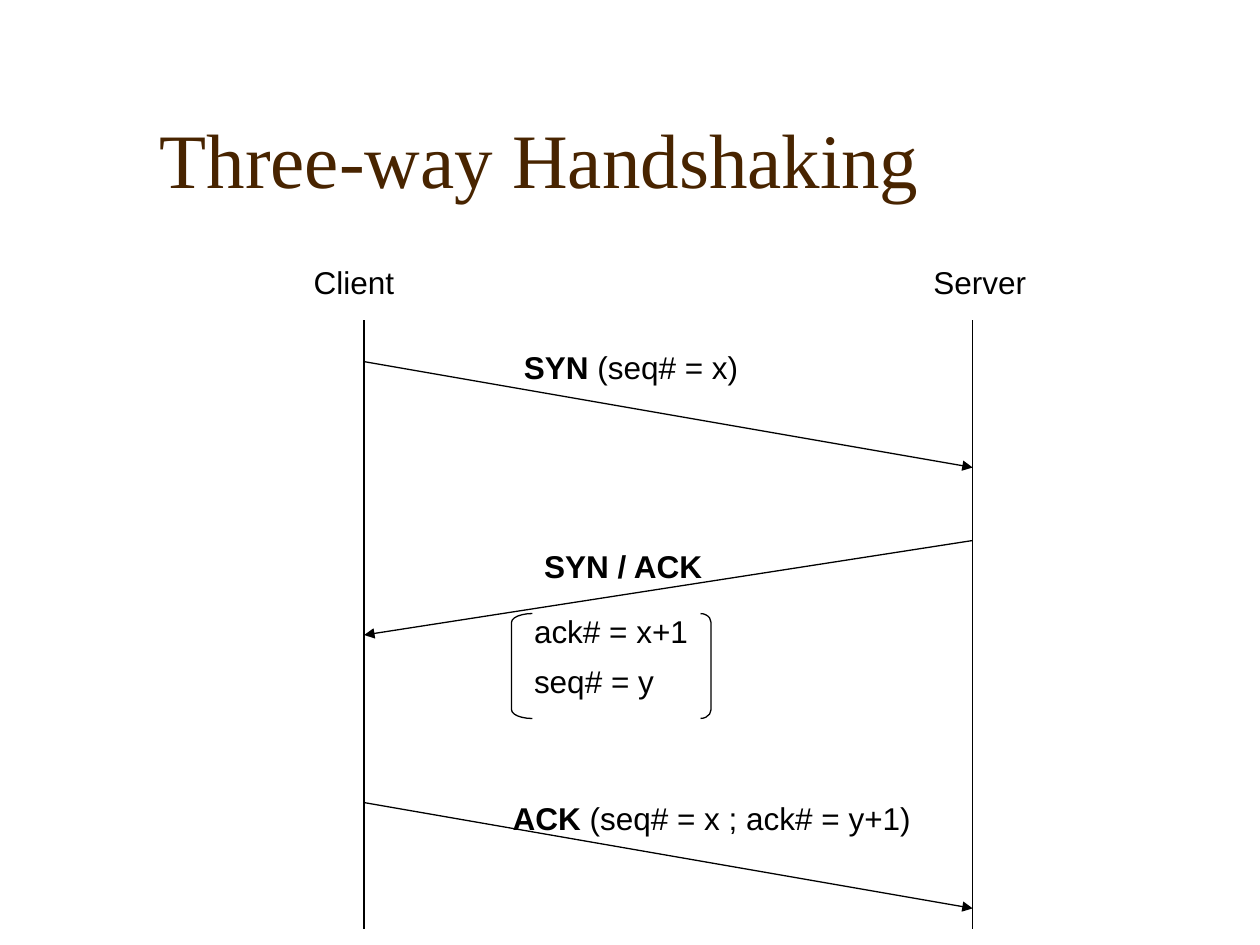
from lxml import etree
from pptx import Presentation
from pptx import util as u
from pptx.dml.color import RGBColor
from pptx.enum import shapes, text
from pptx.oxml.ns import qn

COLORS = {"title": "482400", "ink": "000000"}

presentation = Presentation()
presentation.slide_width = u.Inches(10)
presentation.slide_height = u.Inches(7.5)
slide = presentation.slides.add_slide(presentation.slide_layouts[6])

# All positions are percentages of the slide's width and height.
COLUMN = presentation.slide_width / 100
ROW = presentation.slide_height / 100
CLIENT, SERVER = 28.9, 77.2
LABEL_HEIGHT = 5.33


def add_text(left, top, width, height, lines, size=18, font="Arial", color="ink"):
    """Add a text box; each line is a list of (wording, bold) pairs."""
    box = slide.shapes.add_textbox(
        int(left * COLUMN), int(top * ROW), int(width * COLUMN), int(height * ROW))
    frame = box.text_frame
    frame.word_wrap = True
    for index, line in enumerate(lines):
        paragraph = frame.paragraphs[0] if index == 0 else frame.add_paragraph()
        for wording, bold in line:
            run = paragraph.add_run()
            run.text = wording
            run.font.size = u.Pt(size)
            run.font.name = font
            run.font.bold = bold
            run.font.color.rgb = RGBColor.from_string(COLORS[color])
    return frame


def add_line(x1, y1, x2, y2, arrow=False):
    connector = slide.shapes.add_connector(
        shapes.MSO_CONNECTOR.STRAIGHT,
        int(x1 * COLUMN), int(y1 * ROW), int(x2 * COLUMN), int(y2 * ROW))
    connector.line.color.rgb = RGBColor.from_string(COLORS["ink"])
    connector.line.width = u.Pt(0.75)
    properties = connector.element.spPr
    if arrow:
        outline = properties.find(qn("a:ln"))
        etree.SubElement(outline, qn("a:tailEnd"), type="triangle")
    etree.SubElement(properties, qn("a:effectLst"))


title = add_text(11.7, 5.6, 85, 16.67, [[("Three-way Handshaking", False)]],
                 size=44, font="Times New Roman", color="title")
title.vertical_anchor = text.MSO_ANCHOR.BOTTOM

# Lifelines
for name, x, left, width in [("Client", CLIENT, 23.9, 9.2),
                             ("Server", SERVER, 73.1, 10)]:
    add_line(x, 33.87, x, 98.27)
    add_text(left, 27.2, width, LABEL_HEIGHT, [[(name, False)]])

# Messages: arrow start and end, then label place and wording
messages = [
    (CLIENT, 38.27, SERVER, 49.47, 40.6, 36.13, 21.7,
     [("SYN", True), (" (seq# = x)", False)]),
    (SERVER, 57.2, CLIENT, 67.2, 42.2, 57.2, 15,
     [("SYN / ACK", True)]),
    (CLIENT, 84.93, SERVER, 96.13, 39.7, 83.87, 34.2,
     [("ACK", True), (" (seq# = x ; ack# = y+1)", False)]),
]
for x1, y1, x2, y2, left, top, width, label in messages:
    add_line(x1, y1, x2, y2, arrow=True)
    add_text(left, top, width, LABEL_HEIGHT, [label])

# Bracketed fields of the SYN / ACK message
FIELDS_TOP = 64.93
fields = add_text(41.4, FIELDS_TOP, 15, 9.87,
                  [[("ack# = x+1", False)], [("seq# = y", False)]])
for paragraph in fields.paragraphs:
    paragraph.line_spacing = 0.8
    paragraph.space_before = u.Pt(11.2)

for kind, left, width, curve in [
        (shapes.MSO_SHAPE.LEFT_BRACKET, 40.6, 1.65, 0.42),
        (shapes.MSO_SHAPE.RIGHT_BRACKET, 55.6, 0.83, 0.84)]:
    bracket = slide.shapes.add_shape(
        kind, int(left * COLUMN), int(FIELDS_TOP * ROW),
        int(width * COLUMN), int(11.1 * ROW))
    bracket.adjustments[0] = curve
    bracket.shadow.inherit = False
    bracket.fill.background()
    bracket.line.color.rgb = RGBColor.from_string(COLORS["ink"])
    bracket.line.width = u.Pt(0.75)

presentation.save("out.pptx")
